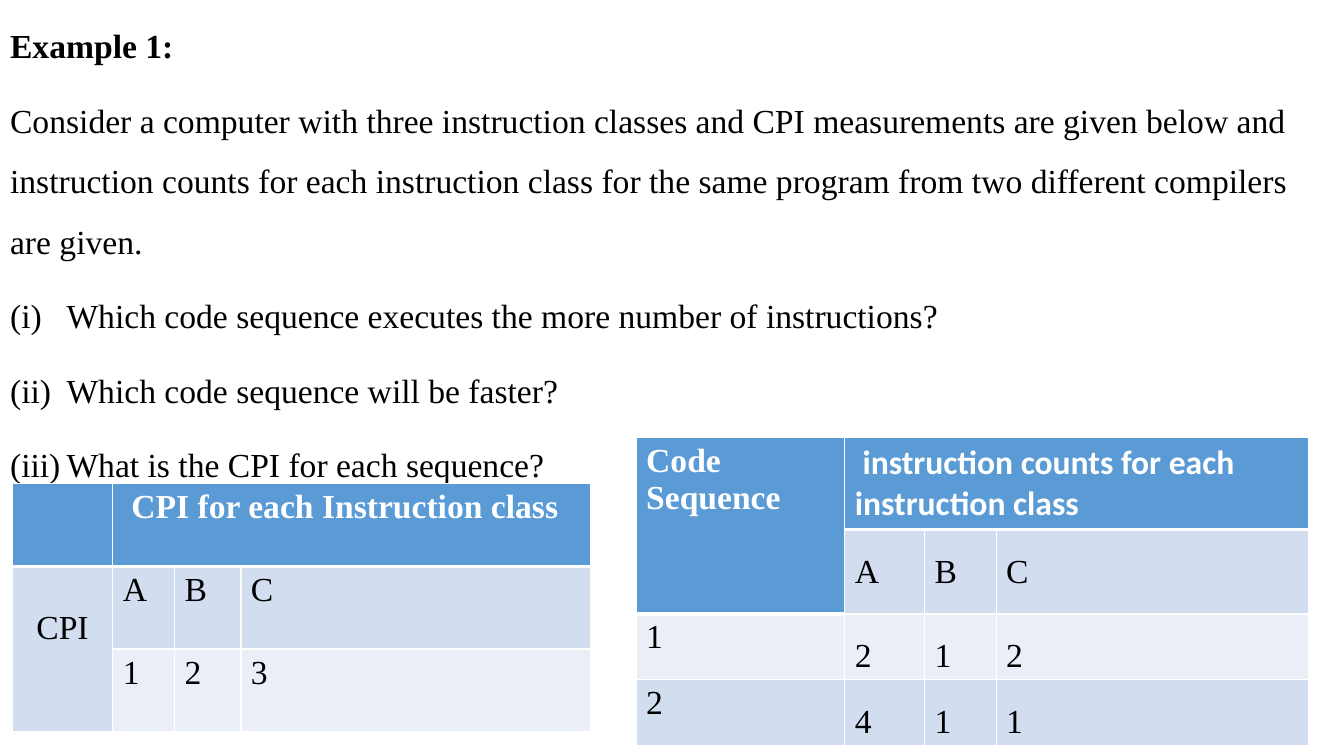
from dataclasses import dataclass
from typing import Any

import pptx
import pptx.dml.color
import pptx.enum.text
import pptx.oxml
import pptx.oxml.ns
import pptx.util
from lxml import etree

RGB = pptx.dml.color.RGBColor.from_string
ALIGN = pptx.enum.text.PP_ALIGN
WIDE, HIGH = pptx.util.Inches(13.33), pptx.util.Inches(7.5)


@dataclass(frozen=True)
class Theme:
    serif: str = "Times New Roman"
    sans: str = "Calibri"
    size: float = 24
    loose: float = 1.5
    gap: float = 10
    ink: str = "000000"
    white: str = "FFFFFF"
    head: str = "5B9BD5"
    band: str = "D2DEEF"
    pale: str = "EAEFF7"
    thin: float = 1
    thick: float = 3


THEME = Theme()


@dataclass(frozen=True)
class Cell:
    text: str = ""
    fill: str = THEME.band
    rows: int = 1
    cols: int = 1
    font: str = THEME.serif
    lines: float = 1.0
    align: Any = ALIGN.LEFT
    drop: float = 0.05  # top inset in inches

    @property
    def top(self) -> bool:
        return self.fill == THEME.head


@dataclass(frozen=True)
class Grid:
    """Place and sizes in percent of the slide; None marks a merged cell."""
    left: float
    top: float
    cols: list[float]
    rows: list[float]
    cells: list[list[Cell | None]]


def across(share: float) -> int:
    return round(WIDE * share / 100)


def down(share: float) -> int:
    return round(HIGH * share / 100)


def apply(item: Any, form: dict[str, Any]) -> None:
    for key, value in form.items():
        setattr(item, key, value)


def write(para: Any, text: str, bold: bool, color: str, font: str = THEME.serif) -> None:
    run = para.add_run()
    run.text = text
    apply(run.font, {"name": font, "size": pptx.util.Pt(THEME.size), "bold": bold})
    run.font.color.rgb = RGB(color)


def edge(cell: Any, side: str, width: float) -> None:
    props = cell._tc.get_or_add_tcPr()
    line = etree.SubElement(props, pptx.oxml.ns.qn(f"a:ln{side}"),
                            w=str(pptx.util.Pt(width)))
    solid = etree.SubElement(line, pptx.oxml.ns.qn("a:solidFill"))
    etree.SubElement(solid, pptx.oxml.ns.qn("a:srgbClr"), val=THEME.white)


def draw(slide: Any, grid: Grid) -> None:
    frame = slide.shapes.add_table(
        len(grid.rows), len(grid.cols), across(grid.left), down(grid.top),
        across(sum(grid.cols)), down(sum(grid.rows)))
    table = frame.table
    table.horz_banding = False
    for col, share in zip(table.columns, grid.cols):
        col.width = across(share)
    for row, share in zip(table.rows, grid.rows):
        row.height = down(share)

    # Spread each merged cell's look over the places it covers
    looks: dict[tuple[int, int], Cell] = {}
    for r, line in enumerate(grid.cells):
        for c, cell in enumerate(line):
            if cell is None:
                continue
            for y in range(r, r + cell.rows):
                for x in range(c, c + cell.cols):
                    looks[y, x] = cell
            if cell.rows * cell.cols > 1:
                table.cell(r, c).merge(table.cell(r + cell.rows - 1, c + cell.cols - 1))

    # Borders, fills and text
    for (r, c), look in looks.items():
        cell = table.cell(r, c)
        above = looks.get((r - 1, c))
        under = THEME.thick if above and above.top else THEME.thin
        base = THEME.thick if look.top else THEME.thin
        for side, width in {"L": THEME.thin, "R": THEME.thin, "T": under, "B": base}.items():
            edge(cell, side, width)
        cell.fill.solid()
        cell.fill.fore_color.rgb = RGB(look.fill)
        if look.text and not cell.is_spanned:
            cell.margin_top = pptx.util.Inches(look.drop)
            para = cell.text_frame.paragraphs[0]
            apply(para, {"alignment": look.align, "line_spacing": look.lines})
            write(para, look.text, look.top, THEME.white if look.top else THEME.ink, look.font)


def body(slide: Any) -> None:
    title = slide.shapes.title._element
    title.getparent().remove(title)
    box = slide.placeholders[1]
    apply(box, {"left": 0, "top": 0, "width": WIDE, "height": HIGH})
    apply(box.text_frame, {"word_wrap": True,
                           "auto_size": pptx.enum.text.MSO_AUTO_SIZE.NONE,
                           "vertical_anchor": pptx.enum.text.MSO_ANCHOR.TOP})
    for i, (text, bold, listed) in enumerate(LINES):
        para = box.text_frame.paragraphs[0] if i == 0 else box.text_frame.add_paragraph()
        apply(para, {"alignment": ALIGN.LEFT, "line_spacing": THEME.loose,
                     "space_before": pptx.util.Pt(THEME.gap)})
        write(para, text, bold, THEME.ink)
        if listed:
            props = para._p.get_or_add_pPr()
            hang = pptx.util.Inches(0.56)
            props.set("marL", str(hang))
            props.set("indent", str(-hang))
            etree.SubElement(props, pptx.oxml.ns.qn("a:buAutoNum"), type="romanLcParenBoth")


def row(texts: str, fill: str, lines: float = 1.0) -> list[Cell | None]:
    return [Cell(text, fill, lines=lines) for text in texts.split()]


# Text, bold, numbered
LINES = [
    ("Example 1:", True, False),
    ("Consider a computer with three instruction classes and CPI measurements are given "
     "below and instruction counts for each instruction class for the same program from "
     "two different compilers are given.", False, False),
    ("Which code sequence executes the more number of instructions?", False, True),
    ("Which code sequence will be faster?", False, True),
    ("What is the CPI for each sequence?", False, True),
]

RATES = Grid(0.9, 64, [7.5, 4.58, 4.95, 26.03], [10.93] * 3, [
    [Cell(fill=THEME.head),
     Cell(" CPI for each Instruction class", THEME.head, cols=3), None, None],
    [Cell("CPI", rows=2, align=ALIGN.CENTER, drop=0.43), *row("A B C", THEME.band)],
    [None, *row("1 2 3", THEME.pale)],
])

COUNTS = Grid(47.33, 57.87, [15.53, 5.93, 5.33, 23.26], [12.1, 11.1, 8.67, 8.67], [
    [Cell("Code Sequence", THEME.head, rows=2),
     Cell(" instruction counts for each instruction class", THEME.head, cols=3,
          font=THEME.sans), None, None],
    [None, *row("A B C", THEME.band, THEME.loose)],
    [Cell("1", THEME.pale), *row("2 1 2", THEME.pale, THEME.loose)],
    [Cell("2"), *row("4 1 1", THEME.band, THEME.loose)],
])


def main() -> None:
    deck = pptx.Presentation()
    apply(deck, {"slide_width": WIDE, "slide_height": HIGH})
    slide = deck.slides.add_slide(deck.slide_layouts[0])
    body(slide)
    for grid in (RATES, COUNTS):
        draw(slide, grid)
    deck.save("out.pptx")


if __name__ == "__main__":
    main()
